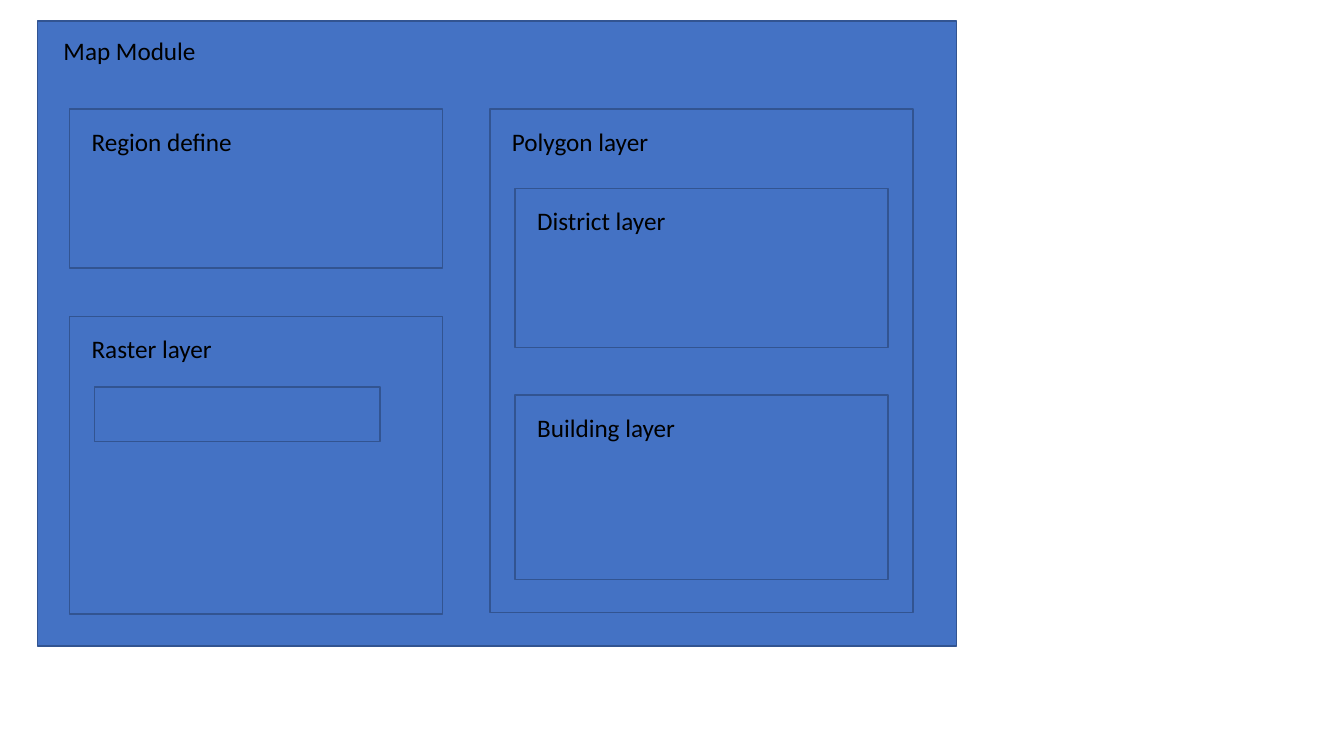
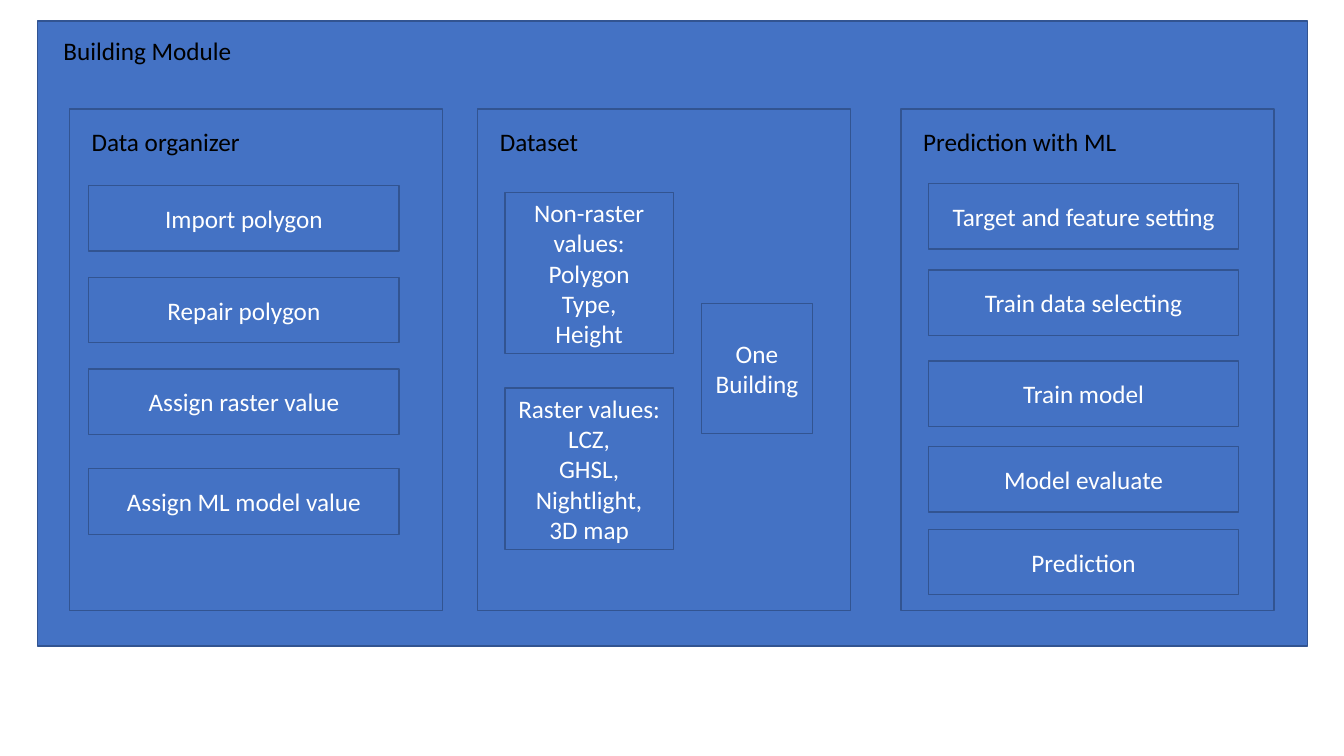
from dataclasses import dataclass

import pptx
import pptx.dml.color
import pptx.enum.shapes
import pptx.enum.text
import pptx.util

RGB = pptx.dml.color.RGBColor
ALIGN = pptx.enum.text.PP_ALIGN
ANCHOR = pptx.enum.text.MSO_ANCHOR


@dataclass(frozen=True)
class Theme:
    fill: str = "4472C4"
    line: str = "325491"
    label: str = "000000"
    step: str = "FFFFFF"
    font: str = "Calibri"
    size: int = 18
    line_width: int = 1
    cell: float = 0.1
    columns: float = 133.33
    rows: float = 75


@dataclass(frozen=True)
class Area:
    col: float
    row: float
    cols: float
    rows: float


@dataclass(frozen=True)
class Panel:
    area: Area
    label: str
    label_cols: float


@dataclass(frozen=True)
class Box:
    area: Area
    lines: tuple[str, ...] = ()


@dataclass(frozen=True)
class Module:
    title: str
    title_cols: float
    cols: float
    panels: tuple[Panel, ...]
    boxes: tuple[Box, ...]


THEME = Theme()
LABEL_ROWS = 4
LABEL_INSET = 1.2
PANEL_ROW, PANEL_COLS, PANEL_ROWS = 10.8, 37, 49.8
STEP_COLS, STEP_ROWS = 30.8, 6.5
VALUE_COL, VALUE_COLS, VALUE_ROWS = 50.1, 16.7, 16


def grid(cells: float) -> pptx.util.Emu:
    return pptx.util.Inches(cells * THEME.cell)


def bounds(area: Area) -> tuple[pptx.util.Emu, ...]:
    return tuple(map(grid, (area.col, area.row, area.cols, area.rows)))


def write(tf, lines: tuple[str, ...], color: str, align) -> None:
    for i, line in enumerate(lines):
        p = tf.add_paragraph() if i else tf.paragraphs[0]
        p.alignment = align
        r = p.add_run()
        r.text = line
        r.font.name = THEME.font
        r.font.size = pptx.util.Pt(THEME.size)
        r.font.color.rgb = RGB.from_string(color)


def write_label(sp, text: str) -> None:
    tf = sp.text_frame
    tf.word_wrap = False
    tf.auto_size = pptx.enum.text.MSO_AUTO_SIZE.SHAPE_TO_FIT_TEXT
    tf.vertical_anchor = ANCHOR.TOP
    write(tf, (text,), THEME.label, ALIGN.LEFT)


def add_box(s, box: Box) -> None:
    sp = s.shapes.add_shape(pptx.enum.shapes.MSO_SHAPE.RECTANGLE, *bounds(box.area))
    sp.shadow.inherit = False
    sp.fill.solid()
    sp.fill.fore_color.rgb = RGB.from_string(THEME.fill)
    sp.line.color.rgb = RGB.from_string(THEME.line)
    sp.line.width = pptx.util.Pt(THEME.line_width)
    sp.text_frame.vertical_anchor = ANCHOR.MIDDLE
    write(sp.text_frame, box.lines, THEME.step, ALIGN.CENTER)


def add_panel(s, panel: Panel) -> None:
    area = panel.area
    add_box(s, Box(area))
    label_area = Area(area.col + LABEL_INSET, area.row + LABEL_INSET,
                      panel.label_cols, LABEL_ROWS)
    write_label(s.shapes.add_textbox(*bounds(label_area)), panel.label)


def add_title(s, module: Module) -> None:
    title = s.shapes.title
    title.left, title.top, title.width, title.height = bounds(
        Area(5.3, 3, module.title_cols, LABEL_ROWS))
    write_label(title, module.title)
    tree = title.element.getparent()
    tree.append(title.element)


def add_module(prs, module: Module) -> None:
    s = prs.slides.add_slide(prs.slide_layouts.get_by_name("Title Only"))
    add_box(s, Box(Area(3.7, 2.1, module.cols, 62)))
    add_title(s, module)
    for panel in module.panels:
        add_panel(s, panel)
    for box in module.boxes:
        add_box(s, box)


def column(col: float, label: str, label_cols: float) -> Panel:
    return Panel(Area(col, PANEL_ROW, PANEL_COLS, PANEL_ROWS), label, label_cols)


def steps(col: float, items: dict[str, float]) -> tuple[Box, ...]:
    return tuple(Box(Area(col, row, STEP_COLS, STEP_ROWS), (text,))
                 for text, row in items.items())


def values(row: float, *lines: str) -> Box:
    return Box(Area(VALUE_COL, row, VALUE_COLS, VALUE_ROWS), lines)


MODULES = (
    Module(
        "Map Module", 15.3, 91.2,
        panels=(
            Panel(Area(6.9, PANEL_ROW, PANEL_COLS, 15.8), "Region define", 16.1),
            Panel(Area(6.9, 31.4, PANEL_COLS, 29.5), "Raster layer", 14.1),
            Panel(Area(48.6, PANEL_ROW, 42, 50), "Polygon layer", 15.7),
            Panel(Area(51.1, 18.7, PANEL_COLS, 15.8), "District layer", 14.9),
            Panel(Area(51.1, 39.2, PANEL_COLS, 18.3), "Building layer", 15.9),
        ),
        boxes=(Box(Area(9.4, 38.4, 28.3, 5.4)),),
    ),
    Module(
        "Building Module", 18.9, 126,
        panels=(
            column(6.9, "Data organizer", 16.9),
            column(47.4, "Dataset", 9.9),
            column(89.4, "Prediction with ML", 21.4),
        ),
        boxes=(
            *steps(8.8, {
                "Import polygon": 18.4,
                "Repair polygon": 27.5,
                "Assign raster value": 36.6,
                "Assign ML model value": 46.5,
            }),
            values(19.1, "Non-raster values:", "Polygon", "Type,", "Height"),
            values(38.5, "Raster values:", "LCZ,", "GHSL,", "Nightlight,", "3D map"),
            Box(Area(69.6, 30.1, 11, 12.9), ("One Building",)),
            *steps(92.1, {
                "Target and feature setting": 18.2,
                "Train data selecting": 26.8,
                "Train model": 35.8,
                "Model evaluate": 44.3,
                "Prediction": 52.5,
            }),
        ),
    ),
)


def main() -> None:
    prs = pptx.Presentation()
    prs.slide_width = grid(THEME.columns)
    prs.slide_height = grid(THEME.rows)
    for module in MODULES:
        add_module(prs, module)
    prs.save("out.pptx")


if __name__ == "__main__":
    main()
